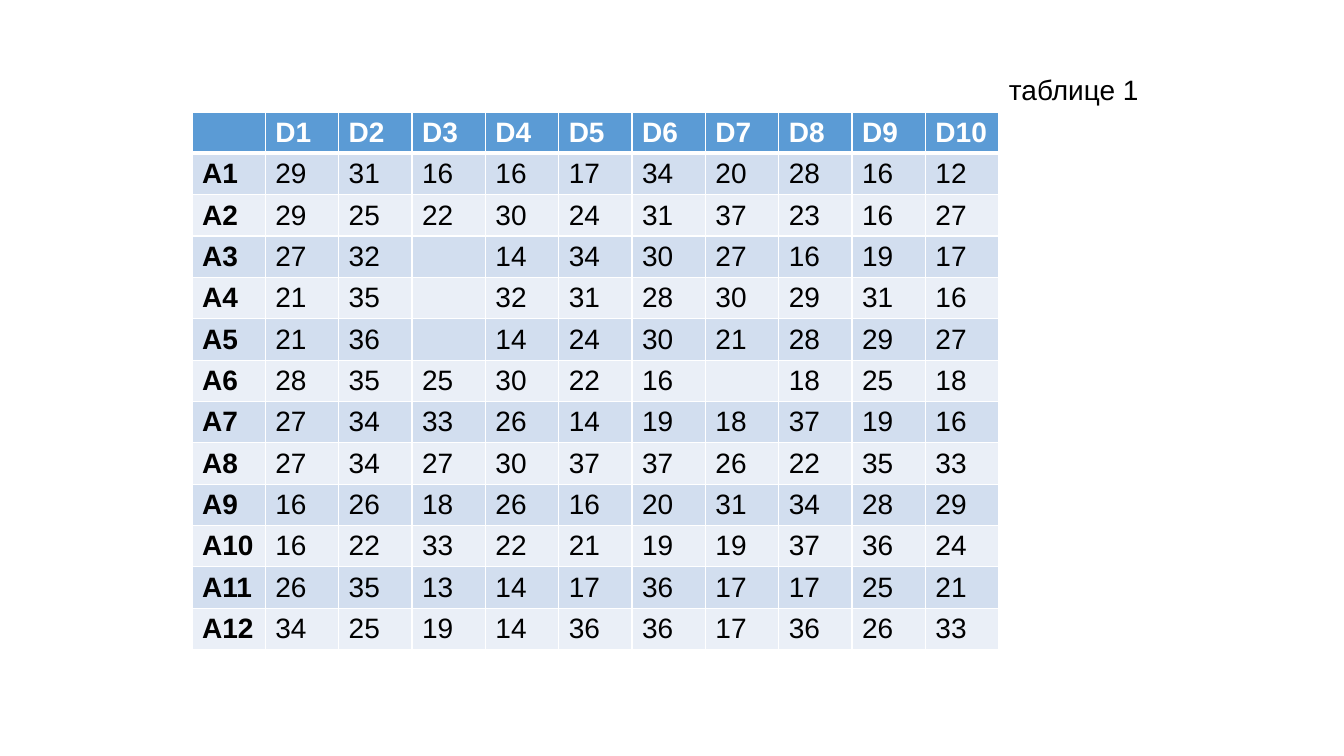
import pptx
import pptx.util
import pptx.dml.color
import pptx.oxml
import pptx.oxml.ns

RGB = pptx.dml.color.RGBColor
WHITE = RGB(0xFF, 0xFF, 0xFF)
BLACK = RGB(0x00, 0x00, 0x00)
BLUE = RGB(0x5B, 0x9B, 0xD5)
BANDS = [RGB(0xD2, 0xDE, 0xEF), RGB(0xEA, 0xEF, 0xF7)]
FONT = "Arial"
SIZE = pptx.util.Pt(20)

# Empty cells are None
COSTS = [
    [29, 31, 16, 16, 17, 34, 20, 28, 16, 12],
    [29, 25, 22, 30, 24, 31, 37, 23, 16, 27],
    [27, 32, None, 14, 34, 30, 27, 16, 19, 17],
    [21, 35, None, 32, 31, 28, 30, 29, 31, 16],
    [21, 36, None, 14, 24, 30, 21, 28, 29, 27],
    [28, 35, 25, 30, 22, 16, None, 18, 25, 18],
    [27, 34, 33, 26, 14, 19, 18, 37, 19, 16],
    [27, 34, 27, 30, 37, 37, 26, 22, 35, 33],
    [16, 26, 18, 26, 16, 20, 31, 34, 28, 29],
    [16, 22, 33, 22, 21, 19, 19, 37, 36, 24],
    [26, 35, 13, 14, 17, 36, 17, 17, 25, 21],
    [34, 25, 19, 14, 36, 36, 17, 36, 26, 33],
]


def px(count):
    return pptx.util.Emu(round(count * 914400 / 100.8))


def style(para, color, bold=False):
    for font in [para.font] + [run.font for run in para.runs]:
        font.name, font.size, font.bold = FONT, SIZE, bold
        font.color.rgb = color


def edge(cell, side, width):
    """Draw one white border of a cell, width in points."""
    line = pptx.oxml.parse_xml(
        f'<a:ln{side} {pptx.oxml.ns.nsdecls("a")} w="{pptx.util.Pt(width)}">'
        f'<a:solidFill><a:srgbClr val="{WHITE}"/></a:solidFill></a:ln{side}>')
    cell._tc.get_or_add_tcPr().append(line)


def grid(slide, box):
    """Cost table: header row, then banded rows."""
    head = [""] + [f"D{n}" for n in range(1, len(COSTS[0]) + 1)]
    body = [[f"A{n}"] + ["" if cost is None else str(cost) for cost in costs]
            for n, costs in enumerate(COSTS, 1)]
    rows = [head] + body
    left, top, width, height = box
    table = slide.shapes.add_table(
        len(rows), len(head), px(left), px(top), px(width), px(height)).table
    for col in table.columns:
        col.width = px(width / len(head))
    for r, texts in enumerate(rows):
        table.rows[r].height = px(height / len(rows))
        for c, text in enumerate(texts):
            cell = table.cell(r, c)
            # Thick rule under the header
            for side, width_pt in (("L", 1), ("R", 1),
                                   ("T", 3 if r == 1 else 1),
                                   ("B", 3 if r == 0 else 1)):
                edge(cell, side, width_pt)
            cell.fill.solid()
            cell.fill.fore_color.rgb = BANDS[(r - 1) % 2] if r else BLUE
            cell.text_frame.text = text
            style(cell.text_frame.paragraphs[0],
                  BLACK if r else WHITE, bold=r == 0 or c == 0)


def label(slide, box):
    """Caption at the table's upper right."""
    frame = slide.shapes.add_textbox(*map(px, box)).text_frame
    frame.word_wrap = False
    frame.text = "таблице 1"
    style(frame.paragraphs[0], BLACK)


def main():
    deck = pptx.Presentation()
    deck.slide_width, deck.slide_height = px(1344), px(756)
    slide = deck.slides.add_slide(deck.slide_layouts[6])
    grid(slide, (192, 112, 807, 537))
    label(slide, (999, 68, 151, 44))
    deck.save("out.pptx")


if __name__ == "__main__":
    main()
